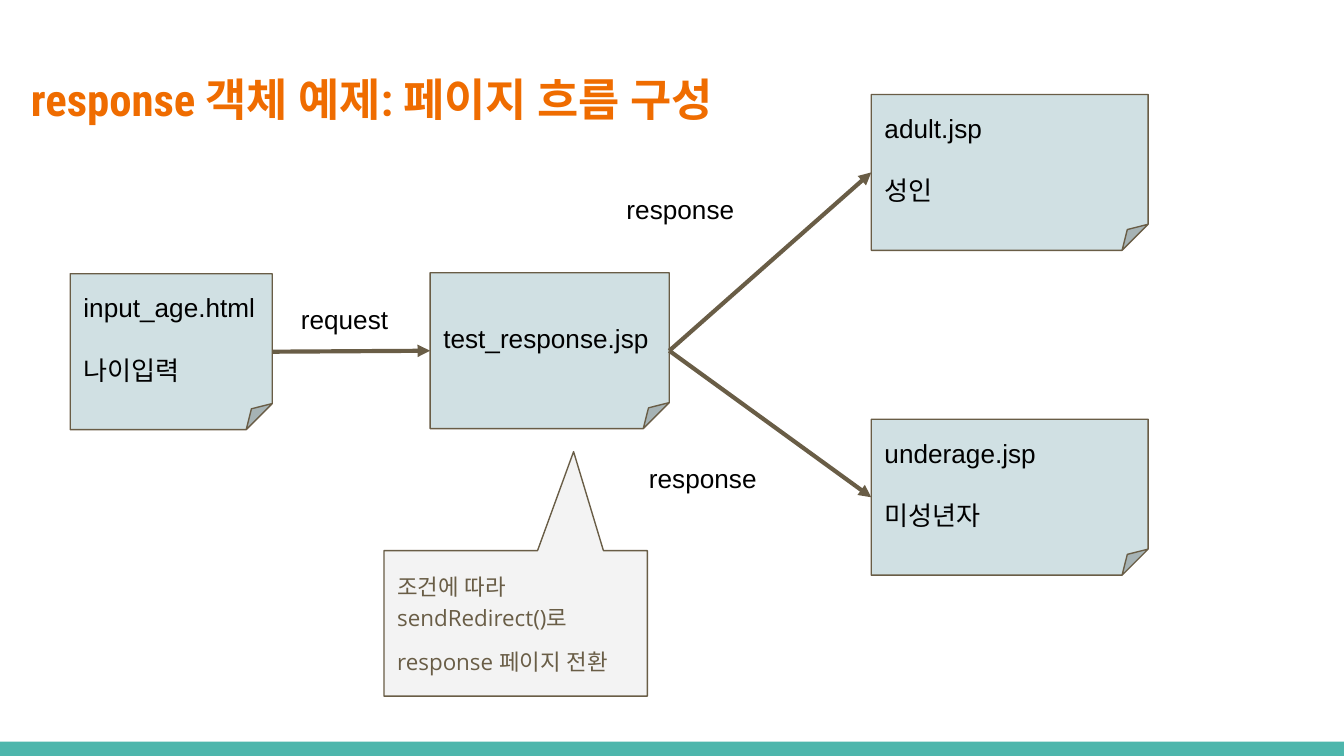
from dataclasses import dataclass

from lxml.etree import SubElement
from pptx import Presentation
from pptx.dml.color import RGBColor
from pptx.enum.shapes import MSO_CONNECTOR, MSO_SHAPE
from pptx.enum.text import MSO_ANCHOR, MSO_AUTO_SIZE, PP_ALIGN
from pptx.oxml.ns import qn
from pptx.util import Inches, Pt

COLS, ROWS = 100, 56.25
PAGE = 11.6
BAR = 1.07


@dataclass(frozen=True)
class Theme:
    """Colours, fonts and type sizes of the slide."""

    bar: str = "4DB6AC"
    page: str = "D0E0E3"
    note: str = "F3F3F3"
    edge: str = "695D46"
    text: str = "000000"
    title: str = "EF6C00"
    head: str = "Roboto Condensed"
    body: str = "Arial"
    side: str = "Open Sans"
    large: int = 24
    mid: int = 14
    small: int = 12
    tail: int = 18
    thin: float = 0.75
    thick: float = 2.25


THEME = Theme()


def grid(*cells):
    """Turn grid cells, a hundred to the slide's width, into lengths."""
    return [Inches(cell / 10) for cell in cells]


def color(code):
    """Read a colour from its hex code."""
    return RGBColor.from_string(code)


def style(frame, size, font, tint, bold=False):
    """Format every run of a text frame."""
    for para in frame.paragraphs:
        para.alignment = PP_ALIGN.LEFT
        for run in para.runs:
            run.font.size = Pt(size)
            run.font.name = font
            run.font.bold = bold
            run.font.color.rgb = color(tint)
            run.font._element.set("kern", "0")
            SubElement(run.font._element, qn("a:ea"), typeface=font)


def fit(frame, anchor):
    """Set the wrap, margins and anchor of a text frame."""
    frame.word_wrap = True
    frame.auto_size = MSO_AUTO_SIZE.NONE
    frame.vertical_anchor = anchor
    frame.margin_left = frame.margin_right = Inches(0.1)
    frame.margin_top = frame.margin_bottom = Inches(0.1)


def add_title(slide, text, *cells):
    """Place the title in its placeholder."""
    title = slide.shapes.title
    title.left, title.top, title.width, title.height = grid(*cells)
    frame = title.text_frame
    frame.text = text
    fit(frame, MSO_ANCHOR.TOP)
    style(frame, THEME.large, THEME.head, THEME.title, True)


def add_block(slide, kind, fill, edge, *cells):
    """Draw a filled preset shape, with an outline if an edge is given."""
    shape = slide.shapes.add_shape(kind, *grid(*cells))
    shape.shadow.inherit = False
    shape.fill.solid()
    shape.fill.fore_color.rgb = color(fill)
    if edge:
        shape.line.color.rgb = color(edge)
        shape.line.width = Pt(THEME.thin)
    else:
        shape.line.fill.background()
    return shape


def add_page(slide, lines, left, top, width):
    """Draw a folded page with its file name and role."""
    page = add_block(slide, MSO_SHAPE.FOLDED_CORNER, THEME.page, THEME.edge,
                     left, top, width, PAGE)
    frame = page.text_frame
    frame.text = "\n".join(lines)
    fit(frame, MSO_ANCHOR.MIDDLE)
    style(frame, THEME.mid, THEME.body, THEME.text)
    for para in frame.paragraphs[1:]:
        para.space_before = Pt(16.5)
    return page


def add_label(slide, text, *cells):
    """Write the label of an arrow."""
    frame = slide.shapes.add_textbox(*grid(*cells)).text_frame
    frame.text = text
    fit(frame, MSO_ANCHOR.TOP)
    style(frame, THEME.mid, THEME.body, THEME.text)


def add_arrow(slide, start, end):
    """Join the right side of one page to the left side of another."""
    arrow = slide.shapes.add_connector(MSO_CONNECTOR.STRAIGHT, 0, 0, 0, 0)
    arrow.begin_connect(start, 3)
    arrow.end_connect(end, 1)
    arrow.line.color.rgb = color(THEME.edge)
    arrow.line.width = Pt(THEME.thick)
    SubElement(arrow.line._get_or_add_ln(), qn("a:tailEnd"), type="triangle")
    SubElement(arrow._element.spPr, qn("a:effectLst"))


def add_note(slide, text, *cells):
    """Draw the callout under the middle page."""
    note = add_block(slide, MSO_SHAPE.ROUNDED_RECTANGULAR_CALLOUT,
                     THEME.note, THEME.edge, *cells)
    for spot, value in enumerate((0.22, -1.18, 0)):
        note.adjustments[spot] = value
    frame = note.text_frame
    frame.text = text
    fit(frame, MSO_ANCHOR.MIDDLE)
    para = frame.paragraphs[0]
    para.line_spacing = 1.15
    para.space_after = Pt(16)
    para.add_run().text = " "
    style(frame, THEME.small, THEME.side, THEME.edge)
    para.runs[-1].font.size = Pt(THEME.tail)


def main():
    """Build the page flow slide."""
    deck = Presentation()
    deck.slide_width, deck.slide_height = grid(COLS, ROWS)
    slide = deck.slides.add_slide(deck.slide_layouts[5])
    add_block(slide, MSO_SHAPE.RECTANGLE, THEME.bar, None,
              0, ROWS - BAR, COLS, BAR)
    add_title(slide, "response 객체 예제: 페이지 흐름 구성", 1.3, 4.3, 55.7, 4.6)

    adult = add_page(slide, ["adult.jsp", "성인"], 64.83, 7.03, 20.6)
    minor = add_page(slide, ["underage.jsp", "미성년자"], 64.83, 31.2, 20.6)
    test = add_page(slide, ["test_response.jsp"], 32, 20.3, 17.8)
    form = add_page(slide, ["input_age.html", "나이입력"], 5.23, 20.37, 15.03)
    for start, end in ((test, adult), (test, minor), (form, test)):
        add_arrow(slide, start, end)

    add_label(slide, "request", 21.4, 21.6, 12.2, 2.5)
    add_label(slide, "response", 45.63, 13.4, 13.9, 2.5)
    add_label(slide, "response", 47.3, 33.4, 12.9, 2.5)
    add_note(slide, "조건에 따라 sendRedirect()로 response 페이지 전환",
             28.57, 40.97, 19.6, 10.83)
    deck.save("out.pptx")


if __name__ == "__main__":
    main()
